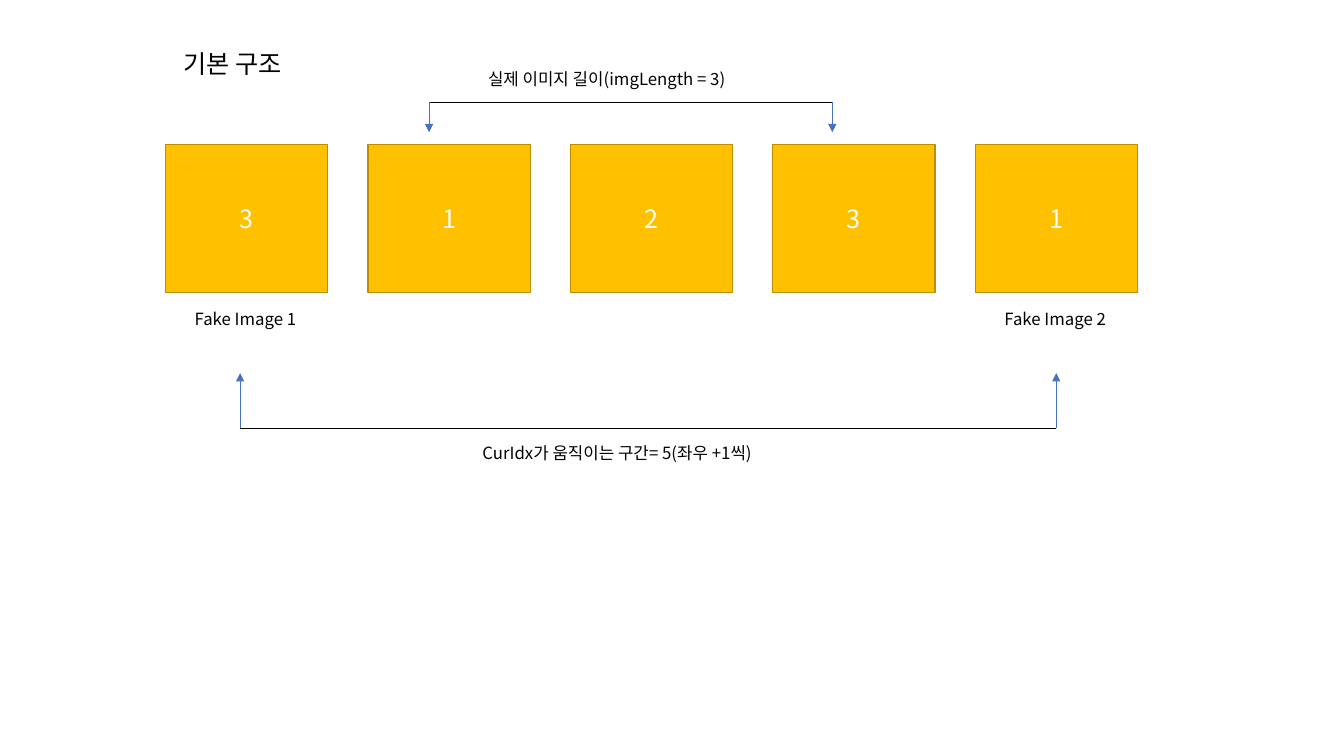
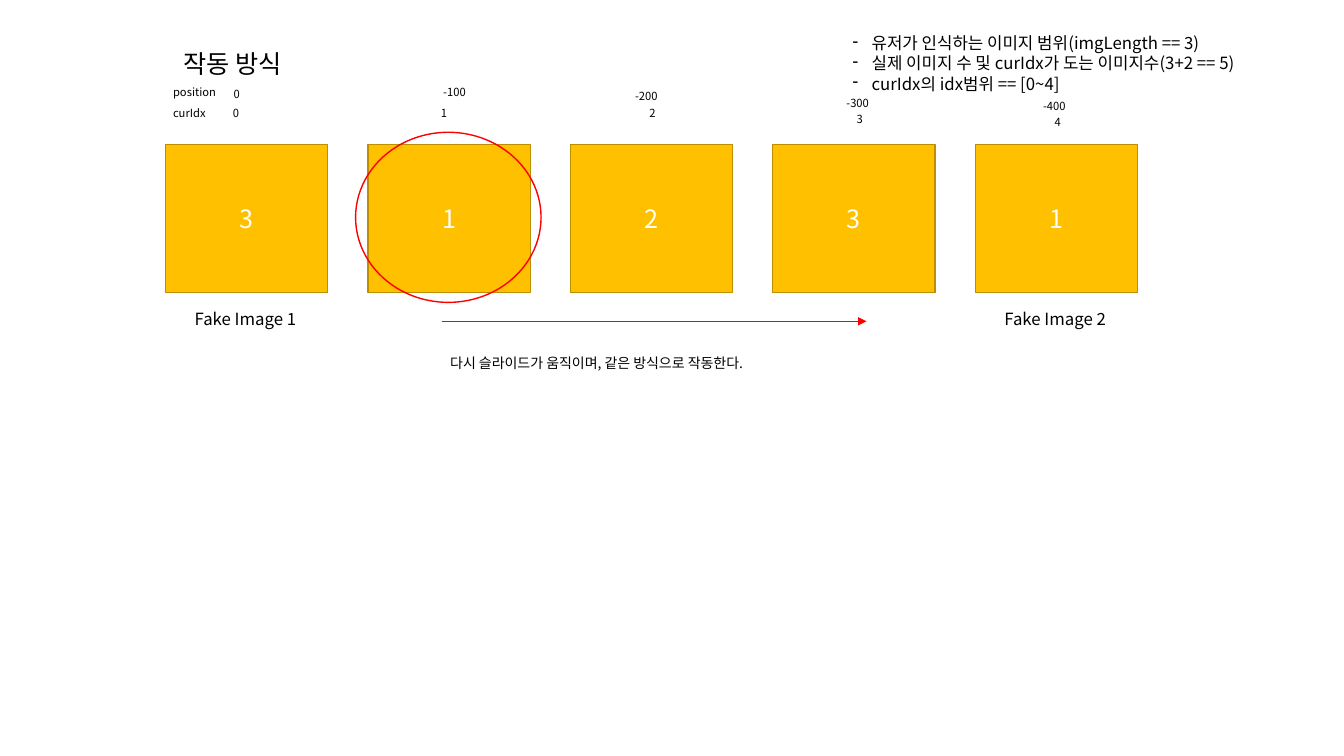
from lxml.etree import SubElement
from pptx import Presentation
from pptx.dml.color import RGBColor
from pptx.enum.shapes import MSO_CONNECTOR, MSO_SHAPE
from pptx.enum.text import MSO_ANCHOR, PP_ALIGN
from pptx.oxml.ns import qn
from pptx.util import Pt

HUES = {"ink": "000000", "paper": "FFFFFF", "card": "FFC000",
        "edge": "BD8E00", "arrow": "4472C4", "mark": "FF0000"}
FONT = "Noto Sans CJK KR"
CARDS = "31231"
CARD_X, CARD_Y, CARD_W, CARD_H, STEP = 118.2, 103, 116, 106, 144.6


def hue(name):
    return RGBColor.from_string(HUES[name])


class Deck:
    def __init__(self):
        self.prs = Presentation()
        self.prs.slide_width, self.prs.slide_height = Pt(960), Pt(540)
        self.slide = None

    def start(self, title):
        """Add a slide with its title and the row of image cards."""
        self.slide = self.prs.slides.add_slide(self.prs.slide_layouts[6])
        for i, digit in enumerate(CARDS):
            card = self.shape(MSO_SHAPE.RECTANGLE, CARD_X + i * STEP, CARD_Y,
                              CARD_W, CARD_H, "edge", "card")
            card.text_frame.vertical_anchor = MSO_ANCHOR.MIDDLE
            para = card.text_frame.paragraphs[0]
            para.alignment = PP_ALIGN.CENTER
            self.run(para, digit, 18, "paper")
        self.text(124, 31, 191.5, [title], 18)
        for i, label in ((0, "Fake Image 1"), (4, "Fake Image 2")):
            self.text(132 + i * STEP, 217, 88, [label])

    def run(self, para, words, size, color="ink"):
        para.line_spacing = Pt(1.2 * size)
        run = para.add_run()
        run.text = words
        run.font.size, run.font.name = Pt(size), FONT
        run.font.color.rgb = hue(color)
        SubElement(run.font._element, qn("a:ea"), typeface=FONT)

    def text(self, x, y, w, lines, size=12, wrap=True, dash=False):
        high = 7.2 + 1.2 * size * len(lines)
        box = self.slide.shapes.add_textbox(Pt(x), Pt(y), Pt(w), Pt(high))
        frame = box.text_frame
        frame.word_wrap = wrap
        for i, line in enumerate(lines):
            para = frame.add_paragraph() if i else frame.paragraphs[0]
            self.run(para, line, size)
            if dash:
                self.bullet(para)

    def bullet(self, para):
        props = para._element.get_or_add_pPr()
        props.set("marL", str(Pt(13.5)))
        props.set("indent", str(-Pt(13.5)))
        SubElement(props, qn("a:buChar"), char="-")

    def shape(self, kind, x, y, w, h, line, fill=None):
        shape = self.slide.shapes.add_shape(kind, Pt(x), Pt(y), Pt(w), Pt(h))
        shape.shadow.inherit = False
        if fill:
            shape.fill.solid()
            shape.fill.fore_color.rgb = hue(fill)
        else:
            shape.fill.background()
        shape.line.color.rgb = hue(line)
        shape.line.width = Pt(1)
        return shape

    def line(self, x1, y1, x2, y2, color="ink", head=False):
        link = self.slide.shapes.add_connector(
            MSO_CONNECTOR.STRAIGHT, Pt(x1), Pt(y1), Pt(x2), Pt(y2))
        link.line.color.rgb = hue(color)
        link.line.width = Pt(0.5)
        props = link._element.spPr
        if head:
            SubElement(props.find(qn("a:ln")), qn("a:tailEnd"), type="triangle")
        SubElement(props, qn("a:effectLst"))

    def span(self, left, right, y, tip):
        """Draw a bar whose two ends point to the height of tip."""
        self.line(left, y, right, y)
        for x in (left, right):
            self.line(x, y, x, tip, "arrow", True)


def basics(deck):
    deck.start("기본 구조")
    deck.span(306.5, 594.5, 73, 94.5)
    deck.text(341.5, 45.5, 204, ["실제 이미지 길이(imgLength = 3)"])
    deck.span(171.5, 754.5, 306, 266.5)
    deck.text(337.5, 313, 225.5, ["CurIdx가 움직이는 구간= 5(좌우 +1씩)"])


def motion(deck):
    deck.start("작동 방식")
    deck.text(602, 20, 312, [
        "유저가 인식하는 이미지 범위(imgLength == 3)",
        "실제 이미지 수 및 curIdx가 도는 이미지수(3+2 == 5)",
        "curIdx의 idx범위 == [0~4]"], dash=True)
    deck.shape(MSO_SHAPE.OVAL, 254, 94.5, 132.5, 121.5, "mark")
    for x, y, w, label in (
            (116.5, 57.5, 45.5, "position"), (162.5, 59, 11.5, "0"),
            (309.5, 57.5, 31.5, "-100"), (446.5, 60, 31.5, "-200"),
            (597.5, 65, 31.5, "-300"), (738, 67, 31.5, "-400"),
            (116.5, 72.5, 45.5, "curIdx"), (162, 72.5, 11.5, "0"),
            (310.5, 72.5, 11.5, "1"), (459.5, 72.5, 11.5, "2"),
            (607.5, 76.5, 11.5, "3"), (749, 78.5, 11.5, "4")):
        deck.text(x, y, w, [label], 8, wrap=False)
    deck.line(315.5, 229.5, 619, 229.5, "mark", True)
    deck.text(314.5, 250, 327, ["다시 슬라이드가 움직이며, 같은 방식으로 작동한다."], 10)


def main():
    deck = Deck()
    basics(deck)
    motion(deck)
    deck.prs.save("out.pptx")


if __name__ == "__main__":
    main()
